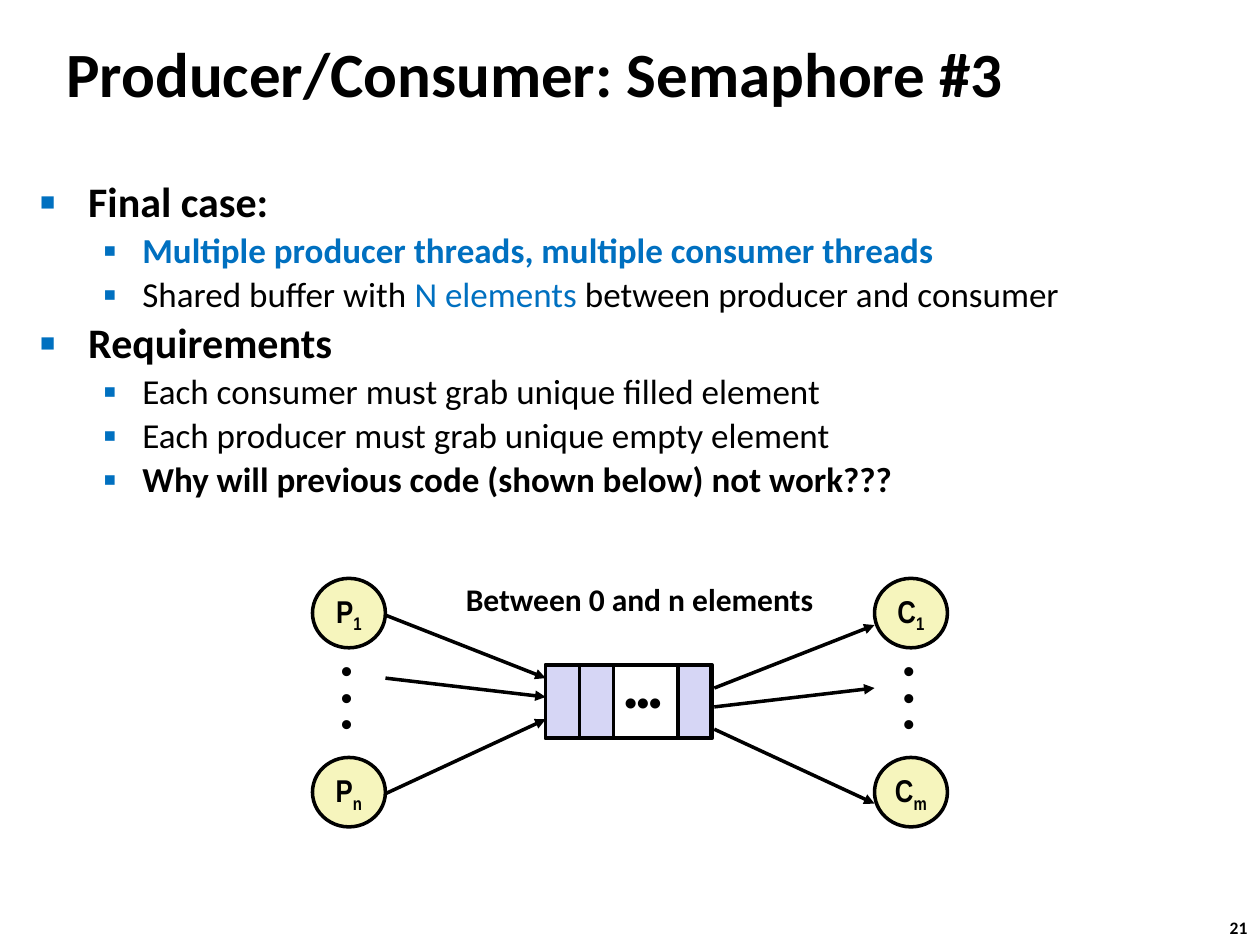
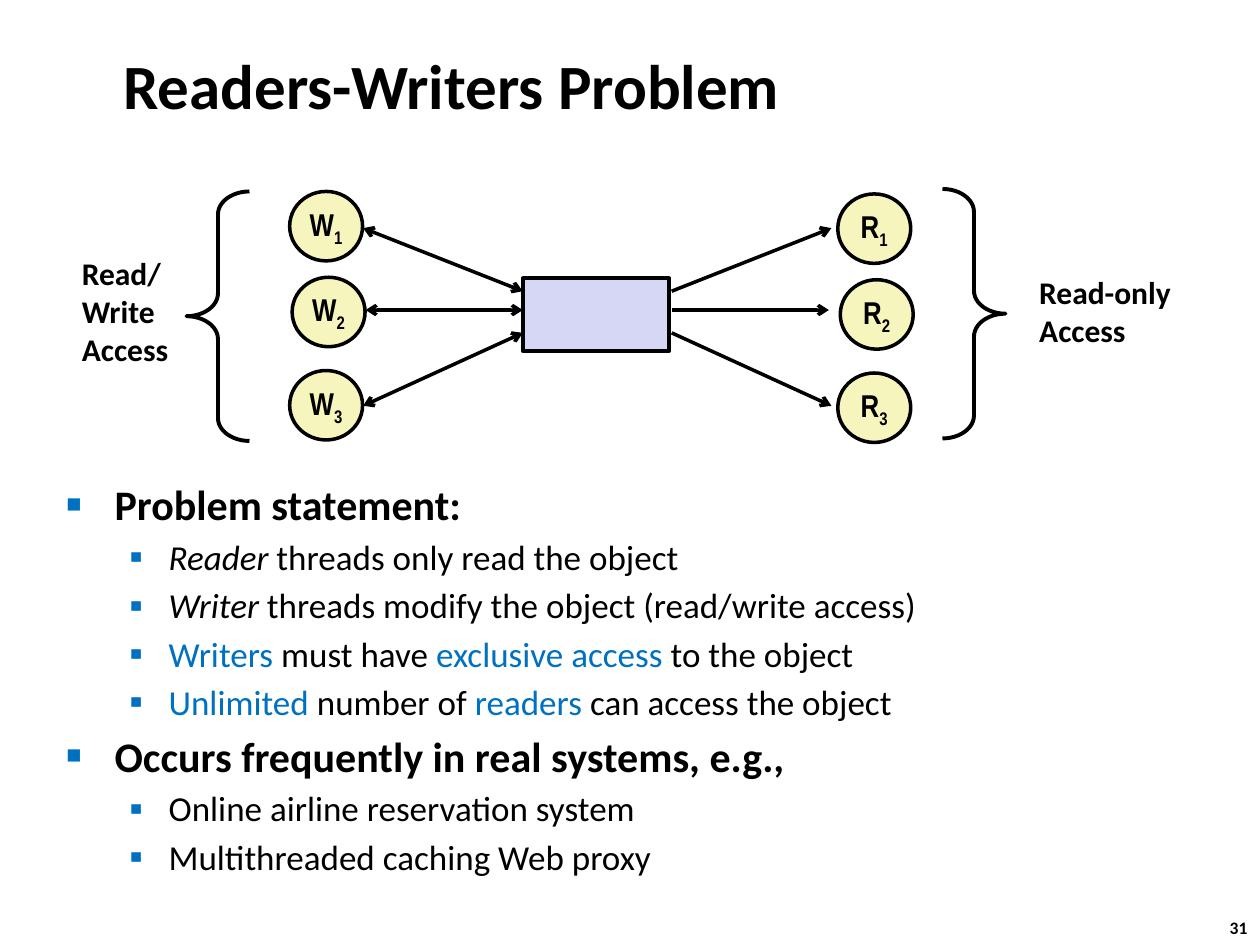
"""Build two slides on semaphores and the readers-writers problem."""
import lxml.etree
import pptx
import pptx.dml.color
import pptx.enum.shapes
import pptx.enum.text
import pptx.oxml.ns
import pptx.util

Cm, Pt = pptx.util.Cm, pptx.util.Pt
KIND = pptx.enum.shapes.MSO_SHAPE
MID = pptx.enum.text.MSO_ANCHOR.MIDDLE
MODE = pptx.enum.text.MSO_AUTO_SIZE
CENTER = pptx.enum.text.PP_ALIGN.CENTER
BLACK, BLUE, LILAC, CREAM = "000000", "0070C0", "D6D6F5", "F6F5BD"
LEVELS = [
    dict(mark="■", scale=60, left=0.97, hang=0.97, size=24, bold=True),
    dict(mark="▪", scale=110, left=2.06, hang=0.79, size=20, bold=False),
]


def color(code):
    return pptx.dml.color.RGBColor.from_string(code)


def add_tag(node, tag, **attrs):
    return lxml.etree.SubElement(node, pptx.oxml.ns.qn("a:" + tag), attrs)


def write(para, text, size=18, font="Calibri", bold=True, tint=BLACK, italic=False, sub=False):
    run = para.add_run()
    run.text = text
    run.font.size, run.font.name = Pt(size), font
    run.font.bold, run.font.italic = bold, italic
    run.font.color.rgb = color(tint)
    if sub:
        run.font._element.set("baseline", "-25000")


class Deck:
    """Hold the shared style and the current slide."""

    def __init__(self):
        self.show = pptx.Presentation()
        self.show.slide_width, self.show.slide_height = Cm(25.4), Cm(19.05)
        self.slide = None

    def start(self, title, number, left, top):
        self.slide = self.show.slides.add_slide(self.show.slide_layouts[6])
        self.label([number], 24.54, 18.36, 0.94, 0.69, size=10)
        frame = self.box(left, top, 21.08, 2.11)
        frame.vertical_anchor = MID
        write(frame.paragraphs[0], title, size=36)

    def box(self, left, top, width, height, wrap=True):
        frame = self.slide.shapes.add_textbox(Cm(left), Cm(top), Cm(width), Cm(height)).text_frame
        frame.word_wrap = wrap
        return frame

    def label(self, lines, *place, wrap=False, align=None, pitch=None, **style):
        frame = self.box(*place, wrap=wrap)
        frame.auto_size = MODE.SHAPE_TO_FIT_TEXT
        for i, line in enumerate(lines):
            para = frame.add_paragraph() if i else frame.paragraphs[0]
            para.alignment, para.line_spacing = align, pitch
            write(para, line, **style)

    def body(self, items, *place, pitch=None):
        frame = self.box(*place)
        for i, (level, *runs) in enumerate(items):
            para = frame.add_paragraph() if i else frame.paragraphs[0]
            look = LEVELS[level]
            para.level, para.line_spacing = level, pitch
            para.space_before = Pt(round(look["size"] * 0.18, 1))
            props = para._p.get_or_add_pPr()
            props.set("marL", str(Cm(look["left"])))
            props.set("indent", str(-Cm(look["hang"])))
            add_tag(add_tag(props, "buClr"), "srgbClr", val=BLUE)
            add_tag(props, "buSzPct", val=str(look["scale"] * 1000))
            add_tag(props, "buFont", typeface="Arial")
            add_tag(props, "buChar", char=look["mark"])
            for run in runs:
                text, style = (run, {}) if isinstance(run, str) else run
                write(para, text, **{"size": look["size"], "bold": look["bold"], **style})

    def shape(self, kind, left, top, width, height, fill=None, weight=2):
        form = self.slide.shapes.add_shape(kind, Cm(left), Cm(top), Cm(width), Cm(height))
        form.shadow.inherit = False
        if fill:
            form.fill.solid()
            form.fill.fore_color.rgb = color(fill)
        else:
            form.fill.background()
        form.line.color.rgb, form.line.width = color(BLACK), Pt(weight)
        return form

    def node(self, name, index, left, top):
        frame = self.shape(KIND.OVAL, left, top, 1.47, 1.4, CREAM).text_frame
        frame.word_wrap, frame.vertical_anchor = False, MID
        frame.margin_top = frame.margin_bottom = 0
        para = frame.paragraphs[0]
        para.alignment = CENTER
        write(para, name, font="Arial Narrow")
        write(para, index, font="Arial Narrow", sub=True)

    def brace(self, kind, left, top):
        form = self.shape(kind, left, top, 1.27, 5.03, weight=2.25)
        form.adjustments[0], form.adjustments[1] = 0.364, 0.5

    def arrow(self, start, end, tip, both=False):
        ends = [Cm(v) for v in (*start, *end)]
        link = self.slide.shapes.add_connector(pptx.enum.shapes.MSO_CONNECTOR.STRAIGHT, *ends)
        link.line.color.rgb, link.line.width = color(BLACK), Pt(2)
        stroke = link.line._get_or_add_ln()
        if both:
            add_tag(stroke, "headEnd", type=tip)
        add_tag(stroke, "tailEnd", type=tip)
        add_tag(link._element.spPr, "effectLst")


def make_buffer(deck):
    deck.start("Producer/Consumer: Semaphore #3", "21", 1.09, 0.41)
    deck.body([
        (0, "Final case:"),
        (1, ("Multiple producer threads, multiple consumer threads", dict(bold=True, tint=BLUE))),
        (1, "Shared buffer with ", ("N elements ", dict(tint=BLUE)), "between producer and consumer"),
        (0, "Requirements"),
        (1, "Each consumer must grab unique filled element"),
        (1, "Each producer must grab unique empty element"),
        (1, ("Why will previous code (shown below) not work???", dict(bold=True))),
    ], 0.56, 3.53, 23.93, 8.05, pitch=0.9)
    for name, last, left in (("P", "n", 6.3), ("C", "m", 17.63)):
        deck.node(name, "1", left, 11.66)
        deck.node(name, last, left, 15.27)
        deck.label("•••", left + 0.33, 13.21, 0.81, 1.91, pitch=0.7, font="Arial")
    inner, outer, drop = 11, 7.77, 0.2
    for far, near in ((12.4, 13.67), (13.67, 14.05), (16, 14.5)):
        deck.arrow((outer, far), (inner, near), "triangle")
        deck.arrow((25.4 - inner, near + drop), (25.4 - outer, far + drop), "triangle")
    for left in (11, 11.68, 13.67):
        deck.shape(KIND.RECTANGLE, left, 13.41, 0.69, 1.47, LILAC)
    deck.label(["•••"], 11.68, 13.82, 2.57, 0.89, wrap=True, align=CENTER, pitch=0.7,
               size=20, font="Arial")
    deck.shape(KIND.RECTANGLE, 11, 13.41, 3.33, 1.47)
    deck.label(["Between 0 and n elements"], 9.14, 11.56, 7.62, 1.02)


def make_access(deck):
    blue, slant = dict(tint=BLUE), dict(italic=True)
    deck.start("Readers-Writers Problem", "31", 2.24, 0.64)
    deck.body([
        (0, "Problem statement:"),
        (1, ("Reader", slant), " threads only read the object"),
        (1, ("Writer", slant), " threads modify the object (read/write access)"),
        (1, ("Writers", blue), " must have ", ("exclusive access ", blue), "to the object"),
        (1, ("Unlimited", blue), " number of ", ("readers", blue), " can access the object"),
        (0, "Occurs frequently in real systems, e.g.,"),
        (1, "Online airline reservation system"),
        (1, "Multithreaded caching Web proxy"),
    ], 1.09, 9.53, 21.95, 8.08)
    deck.shape(KIND.RECTANGLE, 10.54, 5.61, 2.95, 1.47, LILAC)
    for i, (left, top) in enumerate(((5.84, 3.86), (5.89, 5.59), (5.84, 7.47)), 1):
        deck.node("W", str(i), left, top)
        deck.node("R", str(i), left + 11.05, top + 0.05)
    inner, span = 10.54, 24.08
    for outer, far, near in ((7.32, 4.6, 5.87), (7.37, 6.25, 6.25), (7.32, 8.18, 6.71)):
        deck.arrow((outer, far), (inner, near), "arrow", both=True)
        deck.arrow((span - inner, near), (span - outer, far), "arrow")
    deck.brace(KIND.LEFT_BRACE, 3.76, 3.86)
    deck.brace(KIND.RIGHT_BRACE, 19, 3.81)
    deck.label(["Read/", "Write", "Access"], 1.4, 5, 2.26, 2.57)
    deck.label(["Read-only", "Access"], 20.7, 5.38, 3.23, 1.8)


def main():
    deck = Deck()
    make_buffer(deck)
    make_access(deck)
    deck.show.save("out.pptx")


if __name__ == "__main__":
    main()
